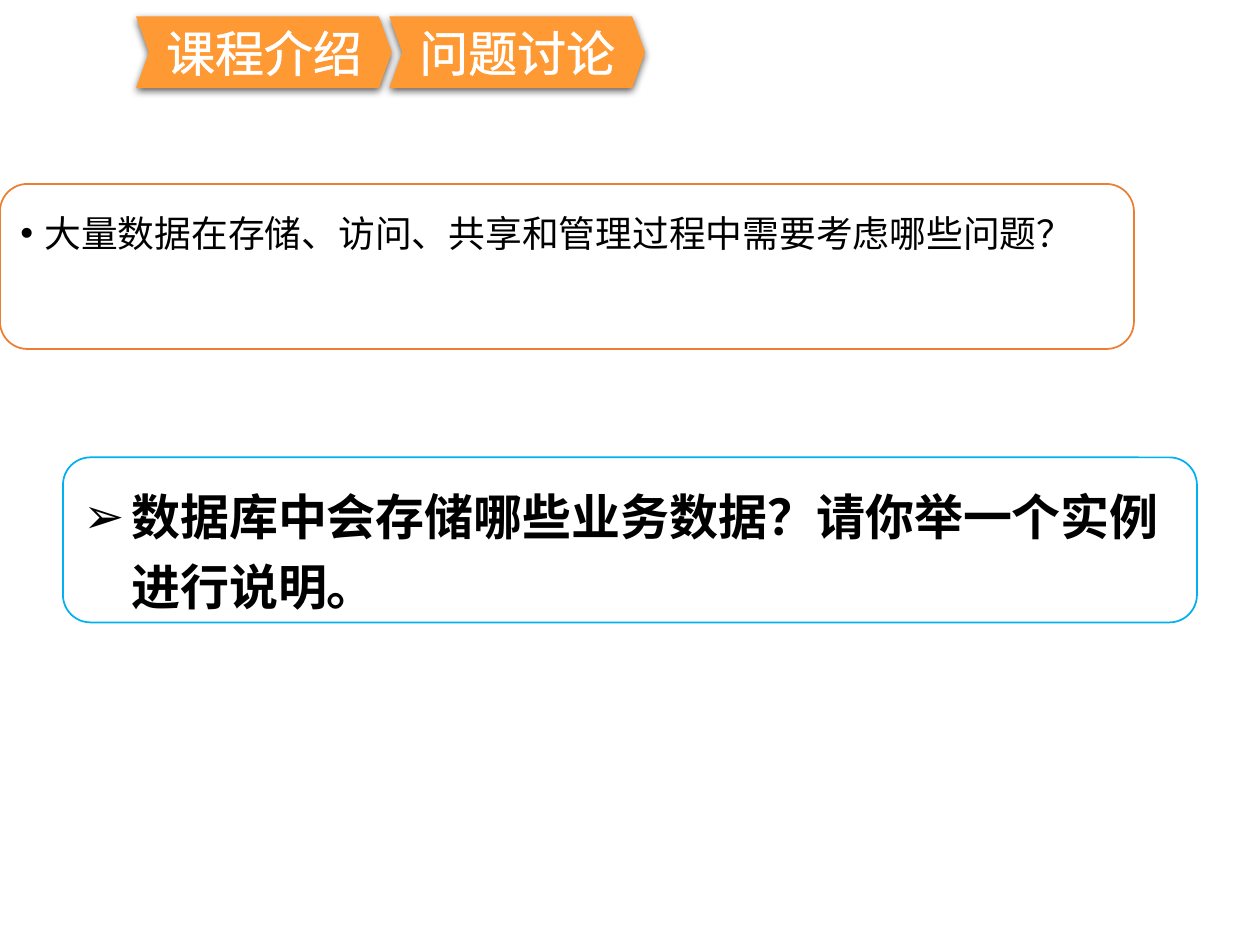
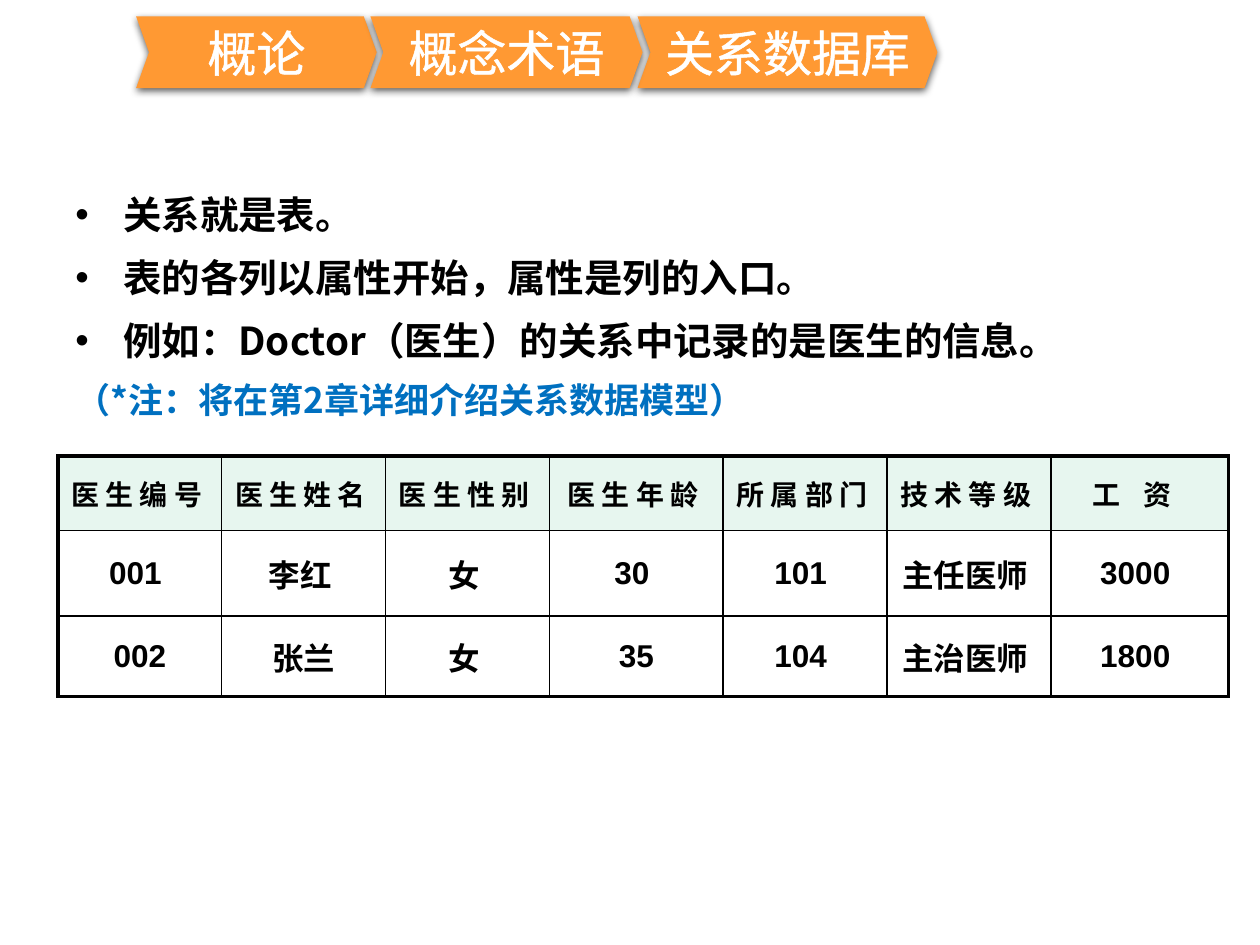
from dataclasses import dataclass
from lxml.etree import SubElement
from pptx import Presentation
from pptx.dml.color import RGBColor
from pptx.enum.shapes import MSO_SHAPE
from pptx.enum.text import MSO_ANCHOR, PP_ALIGN
from pptx.oxml.ns import qn
from pptx.slide import Slide
from pptx.util import Emu, Pt

SCALE = 9144
BLACK = RGBColor(0x00, 0x00, 0x00)
WHITE = RGBColor(0xFF, 0xFF, 0xFF)
ORANGE = RGBColor(0xFF, 0x99, 0x33)
RUST = RGBColor(0xED, 0x7D, 0x31)
SKY = RGBColor(0x00, 0xB0, 0xF0)
BLUE = RGBColor(0x00, 0x70, 0xC0)
MINT = RGBColor(0xE7, 0xF6, 0xEF)
HAN = "Noto Sans CJK SC"
LATIN = "Arial"
PITCH = 1.43
THIN, THICK = 1, 2.25


@dataclass(frozen=True)
class Crumb:
    text: str
    left: int
    width: int


@dataclass(frozen=True)
class Line:
    text: str
    size: int
    bold: bool = True
    color: RGBColor = BLACK
    mark: str = ""
    left: int = 0
    hang: int = 0


@dataclass(frozen=True)
class Panel:
    left: int
    top: int
    edge: RGBColor
    line: Line


TALK = [Crumb("课程介绍", 108, 203), Crumb("问题讨论", 309, 203)]
TERMS = [Crumb("概论", 108, 191), Crumb("关系数据库", 506, 238), Crumb("概念术语", 294, 216)]
PANELS = [
    Panel(0, 146, RUST, Line("大量数据在存储、访问、共享和管理过程中需要考虑哪些问题？", 21, False, mark="•", left=19, hang=19)),
    Panel(50, 363, SKY, Line("数据库中会存储哪些业务数据？请你举一个实例进行说明。", 28, mark="➢", left=38, hang=38)),
]
POINTS = [
    *(Line(text, 22, mark="•", left=88, hang=38) for text in (
        "关系就是表。",
        "表的各列以属性开始，属性是列的入口。",
        "例如：Doctor（医生）的关系中记录的是医生的信息。",
    )),
    Line("（*注：将在第2章详细介绍关系数据模型）", 20, color=BLUE, left=50),
]
WIDE = "工 资 "
ROWS = [
    ["医 生 编 号 ", "医 生 姓 名 ", "医 生 性 别 ", "医 生 年 龄 ", "所 属 部 门 ", "技 术 等 级 ", WIDE],
    ["001 ", "李红 ", "女 ", "30 ", "101 ", "主任医师 ", "3000 "],
    ["002", "张兰", "女 ", "35", "104 ", "主治医师 ", "1800 "],
]
COLS = [130, 130, 130, 138, 130, 130, 141]
HEIGHTS = [59, 68, 64]


def px(count: int) -> Emu:
    return Emu(count * SCALE)


def style(para, size: int, color: RGBColor, bold: bool = False, face: str = HAN) -> None:
    for run in para.runs:
        font = run.font
        font.size, font.bold, font.name = Pt(size), bold, face
        font.color.rgb = color
        SubElement(font._element, qn("a:ea"), typeface=HAN)


def stroke(node, tag: str, width: float, color: RGBColor):
    line = SubElement(node, qn(tag), w=str(Pt(width)))
    fill = SubElement(line, qn("a:solidFill"))
    SubElement(fill, qn("a:srgbClr"), val=str(color))
    return line


def cast(shape) -> None:
    shape.shadow.inherit = False
    list_ = shape._element.spPr.find(qn("a:effectLst"))
    shade = SubElement(list_, qn("a:outerShdw"), blurRad=str(Pt(4.5)), dist=str(Pt(1.5)),
                       dir="5400000", algn="t", rotWithShape="0")
    tint = SubElement(shade, qn("a:srgbClr"), val=str(BLACK))
    SubElement(tint, qn("a:alpha"), val="63000")


def crumbs(slide: Slide, items: list[Crumb]) -> None:
    for item in items:
        shape = slide.shapes.add_shape(MSO_SHAPE.CHEVRON, px(item.left), px(13), px(item.width), px(57))
        shape.adjustments[0] = 0.18
        shape.fill.solid()
        shape.fill.fore_color.rgb = ORANGE
        shape.line.fill.background()
        cast(shape)
        frame = shape.text_frame
        frame.text = item.text
        frame.vertical_anchor = MSO_ANCHOR.MIDDLE
        para = frame.paragraphs[0]
        para.alignment = PP_ALIGN.CENTER
        style(para, 28, WHITE)
        face = para.runs[0].font._element
        face.insert(0, stroke(face, "a:ln", 1.45, WHITE))


def write(frame, lines: list[Line]) -> None:
    frame.word_wrap = True
    frame.vertical_anchor = MSO_ANCHOR.TOP
    frame.margin_top = px(8)
    frame.text = "\n".join(line.text for line in lines)
    for index, (para, line) in enumerate(zip(frame.paragraphs, lines)):
        props = para._p.get_or_add_pPr()
        props.set("marL", str(px(line.left)))
        props.set("indent", str(-px(line.hang)))
        if line.mark:
            SubElement(props, qn("a:buFont"), typeface=LATIN)
            SubElement(props, qn("a:buChar"), char=line.mark)
        para.alignment = PP_ALIGN.LEFT
        para.line_spacing = Pt(line.size * PITCH)
        if index:
            para.space_before = Pt(line.size * 0.2)
        style(para, line.size, line.color, line.bold)


def panel(slide: Slide, item: Panel) -> None:
    shape = slide.shapes.add_shape(MSO_SHAPE.ROUNDED_RECTANGLE, px(item.left), px(item.top), px(900), px(131))
    shape.shadow.inherit = False
    shape.fill.solid()
    shape.fill.fore_color.rgb = WHITE
    shape.line.color.rgb = item.edge
    shape.line.width = Pt(1)
    write(shape.text_frame, [item.line])


def border(cell, row: int, col: int) -> None:
    props = cell._tc.get_or_add_tcPr()
    outer = {"L": col == 0, "R": col == len(COLS) - 1, "T": row == 0, "B": row == len(ROWS) - 1}
    for at, (side, thick) in enumerate(outer.items()):
        props.insert(at, stroke(props, f"a:ln{side}", THICK if thick else THIN, BLACK))


def grid(slide: Slide) -> None:
    table = slide.shapes.add_table(len(ROWS), len(COLS), px(46), px(362), px(sum(COLS)), px(sum(HEIGHTS))).table
    table.first_row = table.horz_banding = False
    for col, width in zip(table.columns, COLS):
        col.width = px(width)
    for row, height in zip(table.rows, HEIGHTS):
        row.height = px(height)
    for row, texts in enumerate(ROWS):
        for col, text in enumerate(texts):
            cell = table.cell(row, col)
            cell.text_frame.text = text
            cell.vertical_anchor = MSO_ANCHOR.MIDDLE
            cell.fill.solid()
            cell.fill.fore_color.rgb = WHITE if row else MINT
            para = cell.text_frame.paragraphs[0]
            para.alignment = PP_ALIGN.CENTER
            style(para, 18 if row else 16, BLACK, True, LATIN)
            if text == WIDE:
                para.runs[0].font._element.set("spc", "500")
            border(cell, row, col)


def main() -> None:
    deck = Presentation()
    deck.slide_width, deck.slide_height = px(1000), px(750)
    blank = deck.slide_layouts[6]

    first = deck.slides.add_slide(blank)
    panel(first, PANELS[0])
    crumbs(first, TALK)
    panel(first, PANELS[1])

    second = deck.slides.add_slide(blank)
    body = second.shapes.add_textbox(px(0), px(137), px(944), px(546))
    write(body.text_frame, POINTS)
    crumbs(second, TERMS)
    grid(second)

    deck.save("out.pptx")


if __name__ == "__main__":
    main()
